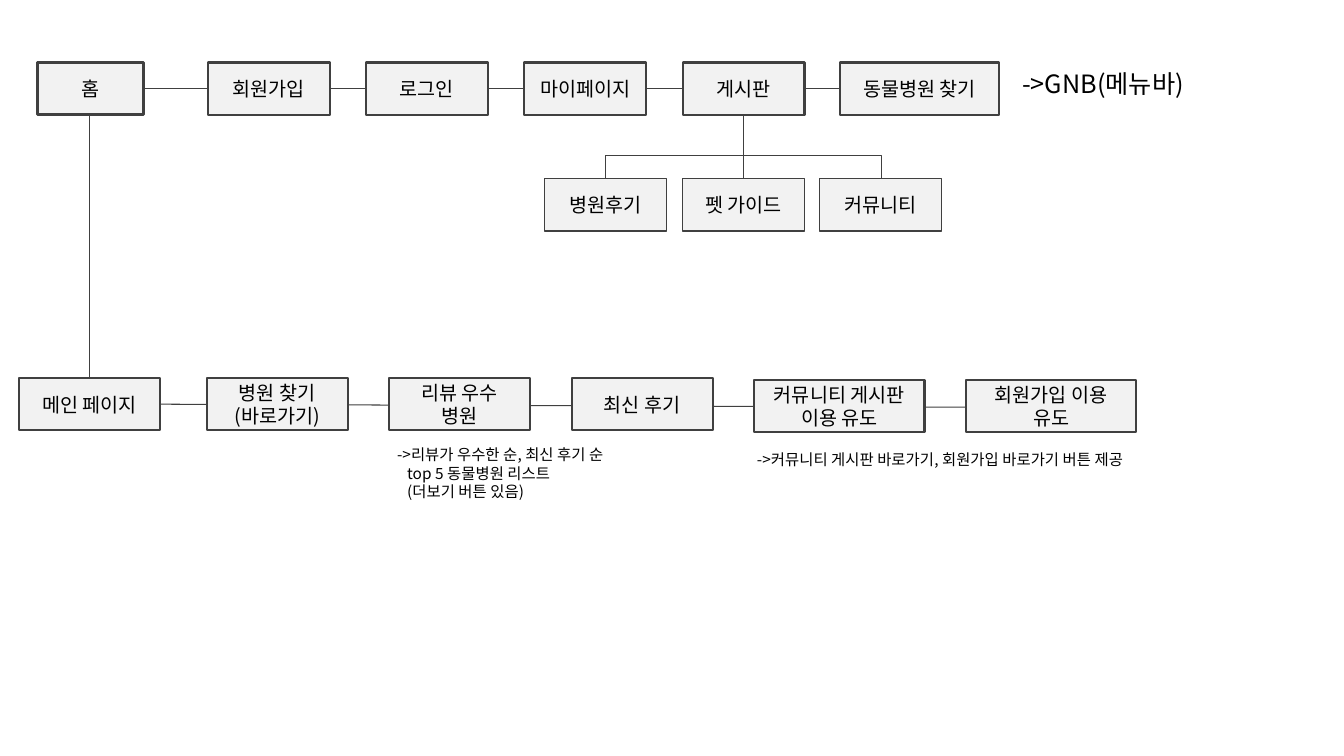
from dataclasses import dataclass

from lxml.etree import SubElement
from pptx import Presentation
from pptx.dml.color import RGBColor
from pptx.enum.shapes import MSO_CONNECTOR as Connector, MSO_SHAPE as Preset
from pptx.enum.text import MSO_ANCHOR as Anchor, PP_ALIGN as Align
from pptx.oxml.ns import qn
from pptx.util import Inches, Pt

FONT = "Noto Sans CJK KR"
INK, BORDER, BOX_FILL = "000000", "404040", "F2F2F2"
BOX_HEIGHT = 0.52
MENU_TOP, SUBMENU_TOP, MAIN_TOP = 0.62, 1.77, 3.75


@dataclass
class Box:
    text: str
    left: float
    top: float
    width: float
    border: float = 1.5


@dataclass
class Note:
    lines: list[str]
    left: float
    top: float
    width: float
    height: float
    size: int = 11


@dataclass
class Line:
    start: tuple[float, float]
    end: tuple[float, float]
    kind: Connector = Connector.STRAIGHT


def color(value: str) -> RGBColor:
    return RGBColor.from_string(value)


def write(frame, lines: list[str], size: int, align: Align, hanging: float = 0) -> None:
    """Write one paragraph per line; those after the first start at the hanging indent."""
    frame.word_wrap = True
    for index, text in enumerate(lines):
        paragraph = frame.paragraphs[0] if index == 0 else frame.add_paragraph()
        paragraph.alignment = align
        if index and hanging:
            paragraph._p.get_or_add_pPr().set("marL", str(Inches(hanging)))
        run = paragraph.add_run()
        run.text = text
        for name, value in {"name": FONT, "size": Pt(size)}.items():
            setattr(run.font, name, value)
        run.font.color.rgb = color(INK)
        SubElement(run._r.get_or_add_rPr(), qn("a:ea"), typeface=FONT)


def add_box(slide, box: Box) -> None:
    shape = slide.shapes.add_shape(
        Preset.RECTANGLE, *map(Inches, (box.left, box.top, box.width, BOX_HEIGHT)))
    shape.shadow.inherit = False
    shape.fill.solid()
    shape.fill.fore_color.rgb = color(BOX_FILL)
    shape.line.color.rgb = color(BORDER)
    shape.line.width = Pt(box.border)
    shape.text_frame.vertical_anchor = Anchor.MIDDLE
    write(shape.text_frame, box.text.split("\n"), 14, Align.CENTER)


def add_note(slide, note: Note) -> None:
    shape = slide.shapes.add_textbox(
        *map(Inches, (note.left, note.top, note.width, note.height)))
    write(shape.text_frame, note.lines, note.size, Align.LEFT, hanging=0.1)


def add_line(slide, line: Line):
    connector = slide.shapes.add_connector(
        line.kind, *map(Inches, (*line.start, *line.end)))
    connector.line.color.rgb = color(BORDER)
    connector.line.width = Pt(0.75)
    SubElement(connector._element.spPr, qn("a:effectLst"))
    return connector


def add_bracket(slide, line: Line, adjustment: int) -> None:
    """Turn an elbow connector a quarter so that it spans the submenu from above."""
    properties = add_line(slide, line)._element.spPr
    properties.find(qn("a:xfrm")).set("rot", "5400000")
    guides = properties.find(qn("a:prstGeom")).find(qn("a:avLst"))
    SubElement(guides, qn("a:gd"), name="adj1", fmla=f"val {adjustment}")


def row(texts: list[str], left: float, pitch: float, top: float,
        width: float, border: float = 1.5) -> list[Box]:
    return [Box(text, round(left + index * pitch, 2), top, width, border)
            for index, text in enumerate(texts)]


BOXES = [
    # Menu bar
    Box("홈", 0.37, MENU_TOP, 1.05, 2.25),
    *row(["회원가입", "로그인", "마이페이지", "게시판"], 2.06, 1.57, MENU_TOP, 1.21),
    Box("동물병원 찾기", 8.33, MENU_TOP, 1.58),
    # Board submenu
    *row(["병원후기", "펫 가이드", "커뮤니티"], 5.4, 1.365, SUBMENU_TOP, 1.21, 1),
    # Main page sections
    Box("메인 페이지", 0.19, MAIN_TOP, 1.4),
    *row(["병원 찾기\n(바로가기)", "리뷰 우수\n병원", "최신 후기"],
         2.05, 1.81, MAIN_TOP, 1.4),
    *row(["커뮤니티 게시판 이용 유도", "회원가입 이용 유도"],
         7.48, 2.1, MAIN_TOP + 0.02, 1.69),
]

LINES = [
    Line((1.41, 0.88), (8.33, 0.88)),
    Line((7.37, 1.15), (7.37, SUBMENU_TOP)),
    Line((0.89, 1.15), (0.89, MAIN_TOP)),
    Line((1.59, 4.01), (9.58, 4.04)),
]
SUBMENU_BRACKET = Line((7.38, 3.14), (7.37, 0.41), Connector.ELBOW)

NOTES = [
    Note(["->GNB(메뉴바)"], 10.04, 0.63, 1.91, 0.4, 18),
    Note(["->리뷰가 우수한 순, 최신 후기 순", "top 5 동물병원 리스트", "(더보기 버튼 있음)"],
         3.84, 4.37, 2.53, 0.66),
    Note(["->커뮤니티 게시판 바로가기, 회원가입 바로가기 버튼 제공"],
         7.41, 4.42, 4.34, 0.29),
]


def main() -> None:
    presentation = Presentation()
    presentation.slide_width, presentation.slide_height = Inches(13.33), Inches(7.5)
    slide = presentation.slides.add_slide(presentation.slide_layouts[6])

    # Lines lie behind the boxes
    for line in LINES:
        add_line(slide, line)
    add_bracket(slide, SUBMENU_BRACKET, 2400000)
    for box in BOXES:
        add_box(slide, box)
    for note in NOTES:
        add_note(slide, note)

    presentation.save("out.pptx")


if __name__ == "__main__":
    main()
